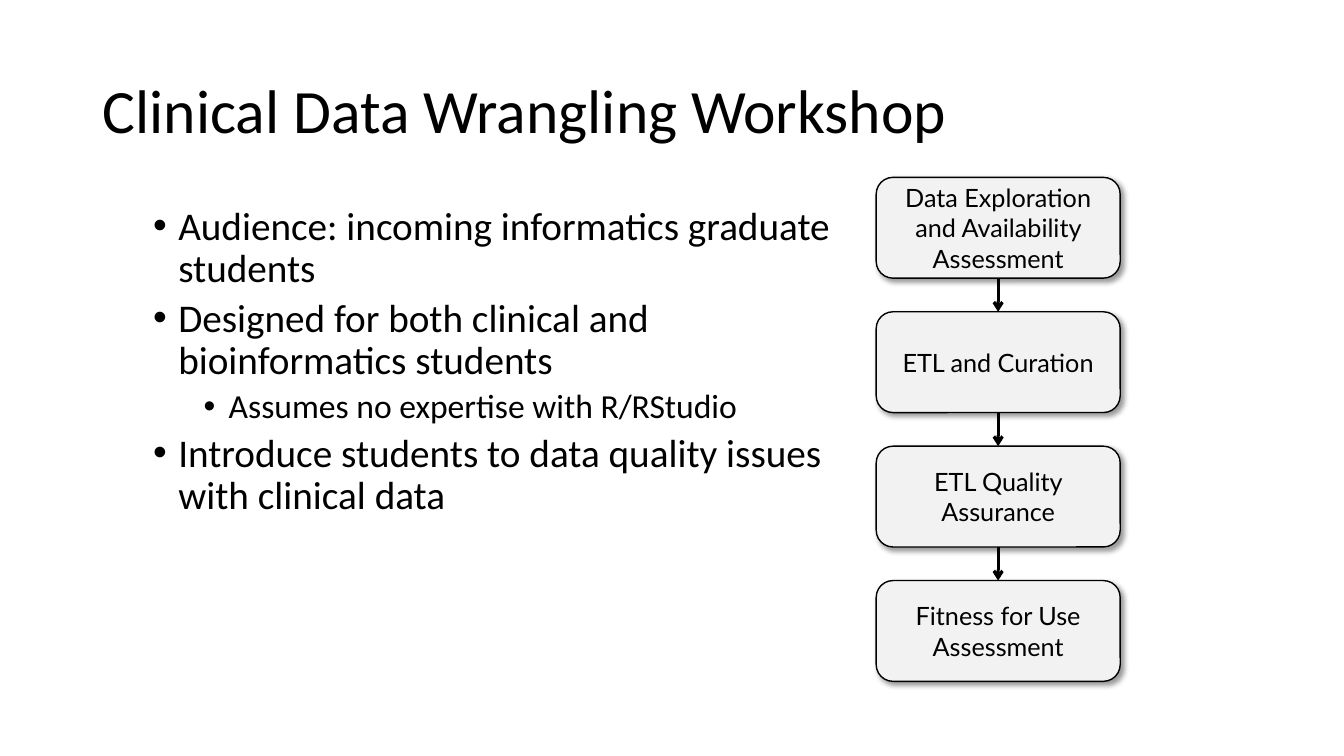
from dataclasses import dataclass

from lxml.etree import SubElement
from pptx import Presentation
from pptx.dml.color import RGBColor
from pptx.enum.shapes import MSO_CONNECTOR, MSO_SHAPE
from pptx.enum.text import MSO_ANCHOR, MSO_AUTO_SIZE, PP_ALIGN
from pptx.oxml import parse_xml
from pptx.oxml.ns import nsdecls, qn
from pptx.shapes.autoshape import Shape
from pptx.slide import Slide
from pptx.text.text import TextFrame
from pptx.util import Inches, Pt

COLORS = {"ink": "000000", "box": "F2F2F2"}
LEFT, TOP, WIDTH, HEIGHT = 8.69, 1.76, 2.42, 1.0
PITCH = 4 / 3


@dataclass
class Bullet:
    text: str
    level: int = 1


BULLETS = [
    Bullet("Audience: incoming informatics graduate students"),
    Bullet("Designed for both clinical and bioinformatics students"),
    Bullet("Assumes no expertise with R/RStudio", level=2),
    Bullet("Introduce students to data quality issues with clinical data"),
]
STEPS = [
    "Data Exploration and Availability Assessment",
    "ETL and Curation",
    "ETL Quality Assurance",
    "Fitness for Use Assessment",
]


def color(name: str) -> RGBColor:
    return RGBColor.from_string(COLORS[name])


def write(frame: TextFrame, text: str, *, size: float, font: str = "Calibri",
          align: PP_ALIGN = PP_ALIGN.LEFT, spacing: float = 1.0,
          before: float = 0, level: int = 0, first: bool = True) -> None:
    """Fill the first paragraph or add one; a level above 0 gets a bullet."""
    para = frame.paragraphs[0] if first else frame.add_paragraph()
    if level:
        props = para._p.get_or_add_pPr()
        props.set("marL", str(Inches(0.25 + 0.5 * level)))
        props.set("indent", str(Inches(-0.25)))
        SubElement(props, qn("a:buFont"), typeface="Arial")
        SubElement(props, qn("a:buChar"), char="•")
    para.alignment = align
    para.line_spacing = spacing
    para.space_before = Pt(before)
    run = para.add_run()
    run.text = text
    run.font.size = Pt(size)
    run.font.name = font
    run.font.color.rgb = color("ink")


def add_title(slide: Slide, text: str) -> None:
    title = slide.shapes.title
    title.left, title.top = Inches(0.92), Inches(0.4)
    title.width, title.height = Inches(11.5), Inches(1.45)
    frame = title.text_frame
    frame.auto_size = MSO_AUTO_SIZE.NONE
    frame.vertical_anchor = MSO_ANCHOR.MIDDLE
    write(frame, text, size=44, spacing=0.9)


def add_list(slide: Slide, bullets: list[Bullet]) -> None:
    box = slide.shapes.add_textbox(Inches(0.92), Inches(2), Inches(7.51), Inches(4.76))
    frame = box.text_frame
    frame.word_wrap = True
    for i, item in enumerate(bullets):
        write(frame, item.text, size=32 - 4 * item.level, spacing=0.9,
              before=5 if i else 0, level=item.level, first=i == 0)


def add_shadow(shape: Shape) -> None:
    shape.shadow.inherit = False
    effects = shape._element.spPr.find(qn("a:effectLst"))
    effects.append(parse_xml(
        f'<a:outerShdw {nsdecls("a")} blurRad="{Pt(4)}" dist="{Pt(3)}" '
        f'dir="2700000" algn="tl" rotWithShape="0">'
        f'<a:srgbClr val="{COLORS["ink"]}"><a:alpha val="40000"/></a:srgbClr>'
        f'</a:outerShdw>'))


def add_step(slide: Slide, text: str, top: float) -> None:
    box = slide.shapes.add_shape(MSO_SHAPE.ROUNDED_RECTANGLE, Inches(LEFT),
                                 Inches(top), Inches(WIDTH), Inches(HEIGHT))
    box.fill.solid()
    box.fill.fore_color.rgb = color("box")
    box.line.color.rgb = color("ink")
    box.line.width = Pt(1)
    add_shadow(box)
    frame = box.text_frame
    frame.word_wrap = True
    frame.vertical_anchor = MSO_ANCHOR.MIDDLE
    write(frame, text, size=18, font="Lato", align=PP_ALIGN.CENTER)


def add_arrow(slide: Slide, start: float, end: float) -> None:
    x = Inches(LEFT + WIDTH / 2)
    arrow = slide.shapes.add_connector(MSO_CONNECTOR.STRAIGHT, x, Inches(start),
                                       x, Inches(end))
    arrow.line.color.rgb = color("ink")
    arrow.line.width = Pt(2.25)
    SubElement(arrow.line._get_or_add_ln(), qn("a:tailEnd"), type="arrow")
    SubElement(arrow._element.spPr, qn("a:effectLst"))


def main() -> None:
    deck = Presentation()
    deck.slide_width, deck.slide_height = Inches(13.33), Inches(7.5)
    slide = deck.slides.add_slide(deck.slide_layouts.get_by_name("Title Only"))
    add_title(slide, "Clinical Data Wrangling Workshop")
    add_list(slide, BULLETS)
    tops = [TOP + PITCH * i for i in range(len(STEPS))]
    for text, top in zip(STEPS, tops):
        add_step(slide, text, top)
    for top, below in zip(tops, tops[1:]):
        add_arrow(slide, top + HEIGHT, below)
    deck.save("out.pptx")


if __name__ == "__main__":
    main()
